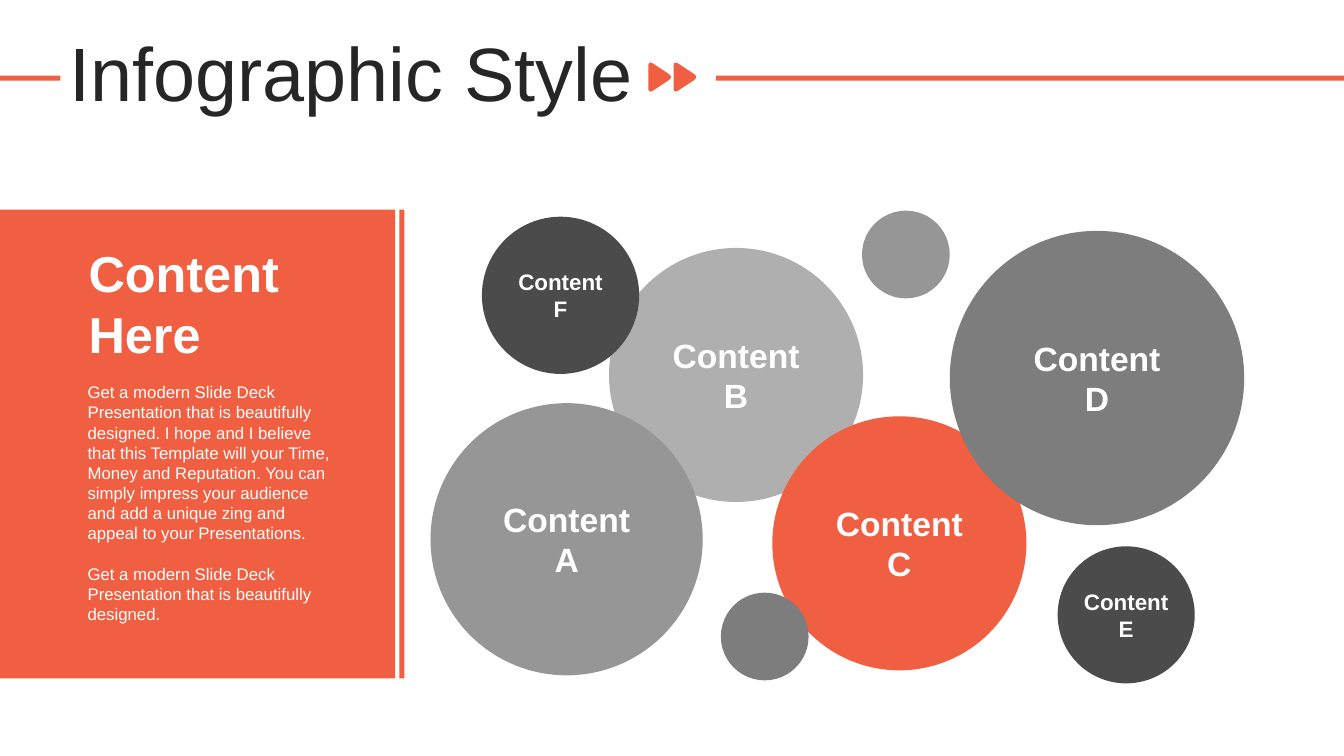
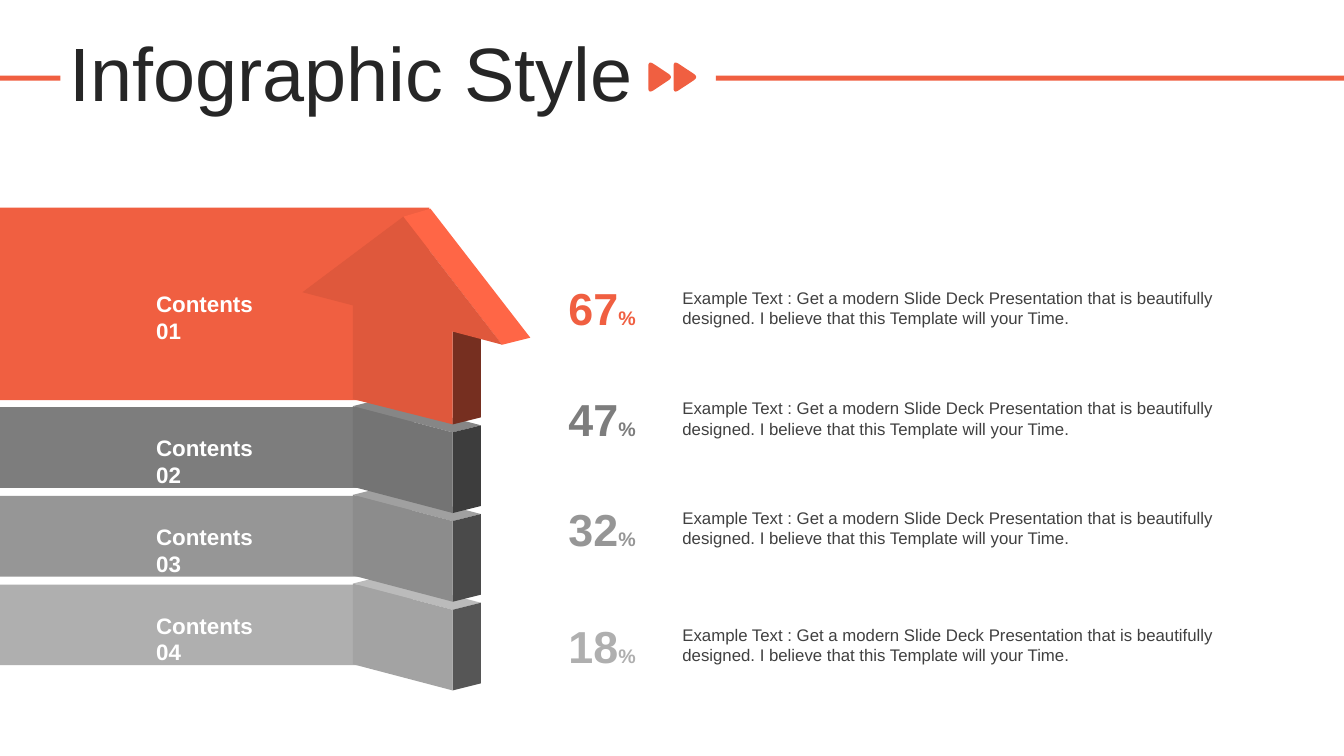
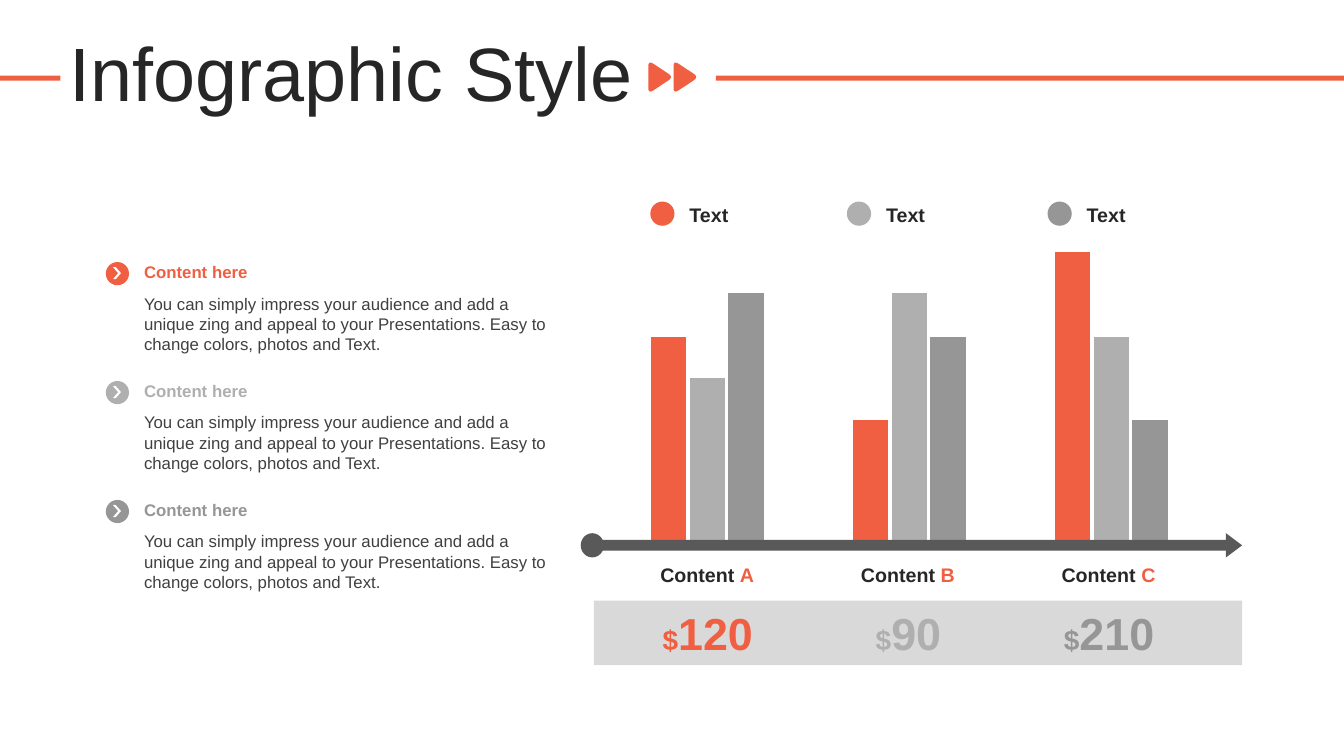
from lxml import etree
from pptx import Presentation
from pptx.chart.data import CategoryChartData
from pptx.dml.color import RGBColor
from pptx.enum.chart import XL_CHART_TYPE
from pptx.enum.shapes import MSO_SHAPE
from pptx.enum.text import MSO_ANCHOR, MSO_AUTO_SIZE, PP_ALIGN
from pptx.util import Inches, Pt

RECT, OVAL = MSO_SHAPE.RECTANGLE, MSO_SHAPE.OVAL
CHEVRON, RIGHT_ARROW = MSO_SHAPE.CHEVRON, MSO_SHAPE.RIGHT_ARROW
TOP, MIDDLE = MSO_ANCHOR.TOP, MSO_ANCHOR.MIDDLE
LEFT, CENTER = PP_ALIGN.LEFT, PP_ALIGN.CENTER
NO_FIT = MSO_AUTO_SIZE.NONE
COLUMNS = XL_CHART_TYPE.COLUMN_CLUSTERED

FONT = "Arial"
CHART_NS = "http://schemas.openxmlformats.org/drawingml/2006/chart"
WIDTH, HEIGHT = 13.33, 7.5
COLORS = {
    "accent": "F05F41", "dark": "4B4B4B", "gray": "7D7D7D", "mid": "969696",
    "light": "AFAFAF", "axis": "595959", "band": "D9D9D9", "title": "262626",
    "body": "404040", "white": "FFFFFF", "black": "000000",
}

TITLE = "Infographic Style"

PANEL_HEADING = "Content Here"
PANEL_TEXT = [
    "Get a modern Slide Deck Presentation that is beautifully designed. "
    "I hope and I believe that this Template will your Time, Money and "
    "Reputation. You can simply impress your audience and add a unique zing "
    "and appeal to your Presentations.",
    "Get a modern Slide Deck Presentation that is beautifully designed.",
]
BUBBLES = [
    ("B", 6.04, 2.46, 2.52, "light", 24),
    ("A", 4.27, 4.0, 2.7, "mid", 24),
    ("C", 7.66, 4.13, 2.52, "accent", 24),
    ("D", 9.42, 2.29, 2.92, "gray", 24),
    ("E", 10.49, 5.42, 1.36, "dark", 16),
    ("F", 4.78, 2.15, 1.56, "dark", 16),
    ("", 8.55, 2.09, 0.87, "mid", 0),
    ("", 7.15, 5.88, 0.87, "gray", 0),
]

EXAMPLE = ("Example Text : Get a modern Slide Deck Presentation that is "
           "beautifully designed. I believe that this Template will your Time.")
LEVELS = [
    ("Contents 01", "67", "accent", 2.83, 3.05),
    ("Contents 02", "47", "gray", 4.26, 4.15),
    ("Contents 03", "32", "mid", 5.14, 5.24),
    ("Contents 04", "18", "light", 6.02, 6.4),
]
ARROW_FACES = [
    (0.49, [(4.49, 3.29), (4.77, 3.22), (4.77, 4.14), (4.49, 4.21)]),
    (1.07, [(4.0, 2.15), (4.27, 2.07), (5.26, 3.35), (4.98, 3.42)]),
    (0.93, [(4.0, 2.15), (3.0, 2.9), (3.5, 3.03), (3.5, 3.96),
            (4.49, 4.21), (4.49, 3.29), (4.98, 3.42)]),
]

POINT_TEXT = ("You can simply impress your audience and add a unique zing and "
              "appeal to your Presentations. Easy to change colors, photos "
              "and Text.")
POINT_COLORS = ["accent", "light", "mid"]
SERIES = [
    ("Series 1", (71, 43, 100), "accent"),
    ("Series 2", (57, 86, 71), "light"),
    ("Series 3", (86, 71, 43), "mid"),
]
PRICES = [("A", "120", "accent"), ("B", "90", "light"), ("C", "210", "mid")]


def rgb(color):
    return RGBColor.from_string(COLORS.get(color, color))


def shade(color, factor):
    value = COLORS[color]
    parts = (int(value[i:i + 2], 16) for i in (0, 2, 4))
    return "".join(f"{min(255, round(p * factor)):02X}" for p in parts)


def paint(shape, color):
    shape.shadow.inherit = False
    shape.fill.solid()
    shape.fill.fore_color.rgb = rgb(color)
    shape.line.fill.background()
    return shape


def add_block(slide, kind, box, color, adjustments=()):
    shape = slide.shapes.add_shape(kind, *map(Inches, box))
    for index, value in enumerate(adjustments):
        shape.adjustments[index] = value
    return paint(shape, color)


def add_polygon(slide, points, color):
    corners = [(Inches(x), Inches(y)) for x, y in points]
    builder = slide.shapes.build_freeform(*corners[0])
    builder.add_line_segments(corners[1:], close=True)
    return paint(builder.convert_to_shape(), color)


def style_run(run, size, color, bold=False):
    run.font.name = FONT
    run.font.size = Pt(size)
    run.font.bold = bold
    run.font.color.rgb = rgb(color)


def add_text(slide, box, paragraphs, bold=False, align=LEFT, anchor=MIDDLE, gap=0):
    frame = slide.shapes.add_textbox(*map(Inches, box)).text_frame
    frame.word_wrap = True
    frame.vertical_anchor = anchor
    for index, runs in enumerate(paragraphs):
        paragraph = frame.add_paragraph() if index else frame.paragraphs[0]
        paragraph.alignment = align
        if index and gap:
            paragraph.space_before = Pt(gap)
        for words, size, color in runs:
            run = paragraph.add_run()
            run.text = words
            style_run(run, size, color, bold)


def toward(start, end, distance):
    dx, dy = end[0] - start[0], end[1] - start[1]
    share = distance / (dx * dx + dy * dy) ** 0.5
    return start[0] + dx * share, start[1] + dy * share


def rounded(corners, radius, steps=6):
    points = []
    for index, corner in enumerate(corners):
        first = toward(corner, corners[index - 1], radius)
        last = toward(corner, corners[(index + 1) % len(corners)], radius)
        for step in range(steps + 1):
            t = step / steps
            points.append(tuple((1 - t) ** 2 * a + 2 * t * (1 - t) * b + t * t * c
                                for a, b, c in zip(first, corner, last)))
    return points


def decorate_layout(layout, slide):
    bars = [(0, 0.75, 0.6, 0.05), (7.1, 0.75, WIDTH - 7.1, 0.05)]
    marks = [add_block(slide, RECT, bar, "accent") for bar in bars]
    for left in (6.43, 6.68):
        triangle = [(left, 0.6), (left + 0.25, 0.765), (left, 0.93)]
        marks.append(add_polygon(slide, rounded(triangle, 0.06), "accent"))
    for number, mark in enumerate(marks, 100):
        mark.element.xpath(".//p:cNvPr")[0].set("id", str(number))
        layout.shapes.element.append(mark.element)


def add_title(slide):
    title = slide.shapes.title
    title.left, title.top, title.width, title.height = map(
        Inches, (0.59, 0.37, 12.42, 0.79))
    frame = title.text_frame
    frame.text = TITLE
    frame.auto_size = NO_FIT
    frame.vertical_anchor = MIDDLE
    paragraph = frame.paragraphs[0]
    paragraph.alignment = LEFT
    paragraph.line_spacing = 0.9
    style_run(paragraph.runs[0], 54, "title")


def build_bubbles(slide):
    for left, width in ((0, 3.92), (3.96, 0.05)):
        add_block(slide, RECT, (left, 2.08, width, 4.65), "accent")
    for letter, left, top, size, color, points in BUBBLES:
        add_block(slide, OVAL, (left, top, size, size), color)
        if letter:
            lines = [[(word, points, "white")] for word in ("Content", letter)]
            add_text(slide, (left, top, size, size), lines, True, CENTER)
    add_text(slide, (0.78, 2.35, 2.69, 1.31), [[(PANEL_HEADING, 36, "white")]], True)
    add_text(slide, (0.77, 3.74, 2.69, 2.52),
             [[(words, 12, "white")] for words in PANEL_TEXT], anchor=TOP, gap=14.4)


def build_levels(slide):
    left, right, drop, depth, rise, tall = 3.5, 4.49, 0.26, 0.28, 0.07, 0.8
    pitch = 0.88
    lower = [(level[2], 4.03 + pitch * row) for row, level in enumerate(LEVELS[1:])]
    for color, top in lower:
        add_block(slide, RECT, (0, top + 0.01, 4.09, tall), color)
    add_block(slide, RECT, (0, 2.06, 4.26, 1.91), "accent")
    for color, top in reversed(lower):
        corner = top + drop
        faces = [
            (1.07, [(left, top), (left + depth, top - rise),
                    (right + depth, corner - rise), (right, corner)]),
            (0.49, [(right, corner), (right + depth, corner - rise),
                    (right + depth, corner - rise + tall), (right, corner + tall)]),
            (0.93, [(left, top), (right, corner),
                    (right, corner + tall), (left, top + tall)]),
        ]
        for factor, points in faces:
            add_polygon(slide, points, shade(color, factor))
    for factor, points in ARROW_FACES:
        add_polygon(slide, points, shade("accent", factor))
    for label, percent, color, top, center in LEVELS:
        add_text(slide, (1.45, top, 1.36, 0.64), [[(label, 16, "white")]], True, anchor=TOP)
        add_text(slide, (5.54, center - 0.32, 0.87, 0.64),
                 [[(percent, 32, color), ("%", 14, color)]], True)
        add_text(slide, (6.67, center - 0.25, 5.67, 0.5), [[(EXAMPLE, 12, "body")]])


def add_columns(slide):
    data = CategoryChartData()
    data.categories = ["1", "2", "3"]
    for name, values, _ in SERIES:
        data.add_series(name, values)
    box = map(Inches, (5.89, 2.01, 6.26, 3.48))
    chart = slide.shapes.add_chart(COLUMNS, *box, data).chart
    chart.has_legend = chart.has_title = False
    chart.font.name = FONT
    chart.font.size = Pt(10)
    chart.font.color.rgb = rgb("black")
    chart.category_axis.visible = False
    axis = chart.value_axis
    axis.visible = axis.has_major_gridlines = False
    axis.minimum_scale, axis.maximum_scale = 0, 100
    plot = chart.plots[0]
    plot.vary_by_categories = False
    plot.gap_width, plot.overlap = 250, -9
    for series, (_, _, color) in zip(plot.series, SERIES):
        series.format.fill.solid()
        series.format.fill.fore_color.rgb = rgb(color)

    area = chart.element.find(f".//{{{CHART_NS}}}plotArea")
    for old in area.findall(f"{{{CHART_NS}}}layout"):
        area.remove(old)
    layout = etree.Element(f"{{{CHART_NS}}}layout")
    manual = etree.SubElement(layout, f"{{{CHART_NS}}}manualLayout")
    settings = [("layoutTarget", "inner"), ("xMode", "edge"), ("yMode", "edge"),
                ("x", "0.02"), ("y", "0.14"), ("w", "0.96"), ("h", "0.84")]
    for tag, value in settings:
        etree.SubElement(manual, f"{{{CHART_NS}}}{tag}").set("val", value)
    area.insert(0, layout)


def build_columns(slide):
    add_columns(slide)
    add_block(slide, RIGHT_ARROW, (5.91, 5.29, 6.41, 0.24), "axis", (0.451, 0.666))
    add_block(slide, OVAL, (5.76, 5.29, 0.23, 0.24), "axis")
    add_block(slide, RECT, (5.89, 5.96, 6.43, 0.64), "band")
    for column, (letter, price, color) in enumerate(PRICES):
        center = 7.02 + 1.99 * column
        add_text(slide, (center - 0.57, 5.53, 1.13, 0.34),
                 [[("Content ", 14, "title"), (letter, 14, "accent")]], True, CENTER)
        add_text(slide, (center - 0.81, 5.96, 1.62, 0.64),
                 [[("$", 20, color), (price, 32, color)]], True, CENTER)
    for left, color in zip((6.45, 8.4, 10.39), POINT_COLORS):
        add_block(slide, OVAL, (left, 2, 0.24, 0.24), color)
        add_text(slide, (left + 0.29, 1.96, 0.94, 0.34), [[("Text", 14, "title")]], True)
    for row, color in enumerate(POINT_COLORS):
        top = 2.55 + 1.18 * row
        add_block(slide, OVAL, (1.05, top + 0.05, 0.23, 0.23), color)
        add_block(slide, CHEVRON, (1.12, top + 0.1, 0.08, 0.12), "white", (0.652,))
        add_text(slide, (1.33, top, 4.25, 0.3), [[("Content here", 12, color)]], True)
        add_text(slide, (1.33, top + 0.31, 4.25, 0.71),
                 [[(POINT_TEXT, 12, "body")]], anchor=TOP)


def main():
    deck = Presentation()
    deck.slide_width, deck.slide_height = Inches(WIDTH), Inches(HEIGHT)
    layout = deck.slide_layouts[5]
    for number, build in enumerate((build_bubbles, build_levels, build_columns)):
        slide = deck.slides.add_slide(layout)
        if number == 0:
            decorate_layout(layout, slide)
        add_title(slide)
        build(slide)
    deck.save("out.pptx")


if __name__ == "__main__":
    main()
